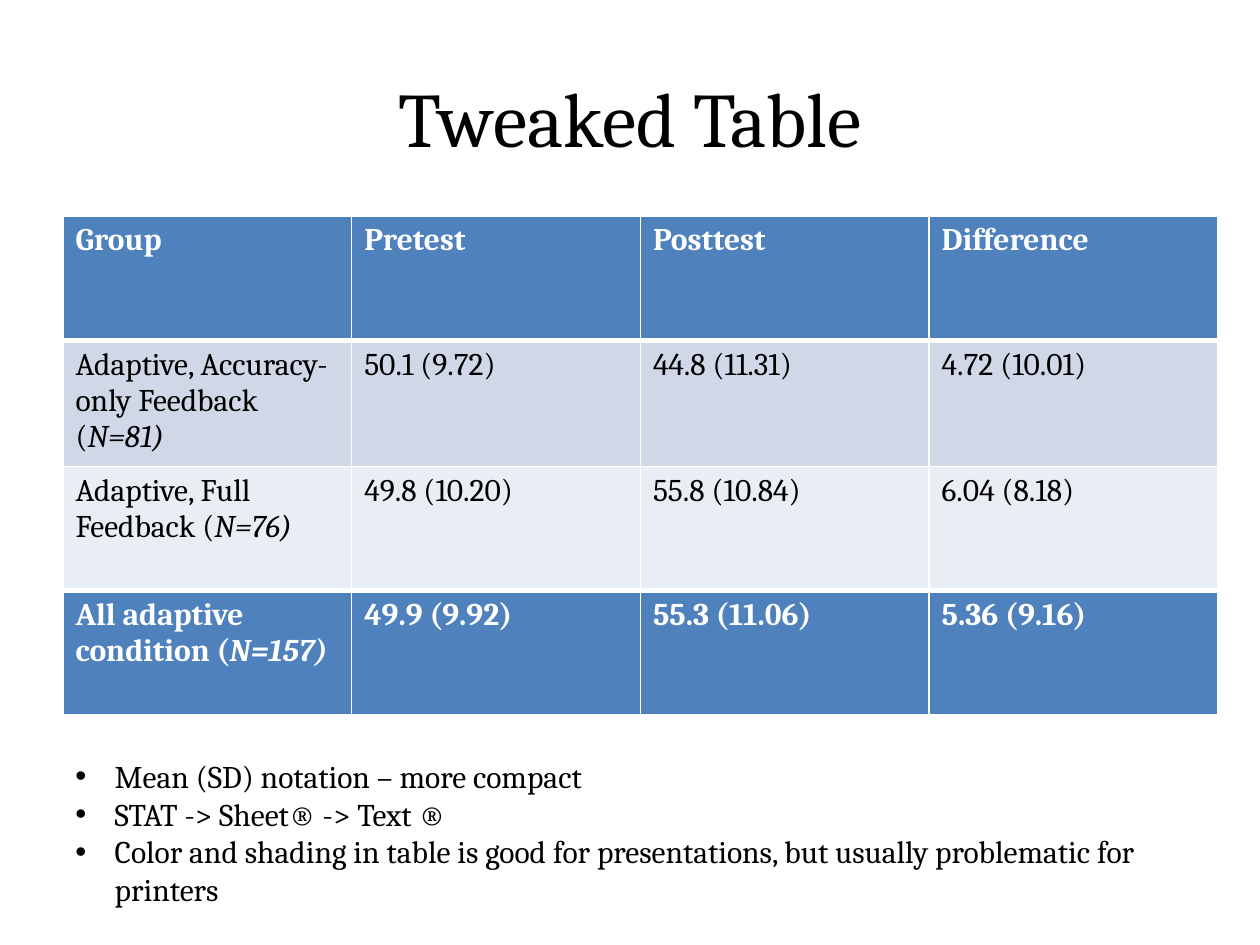
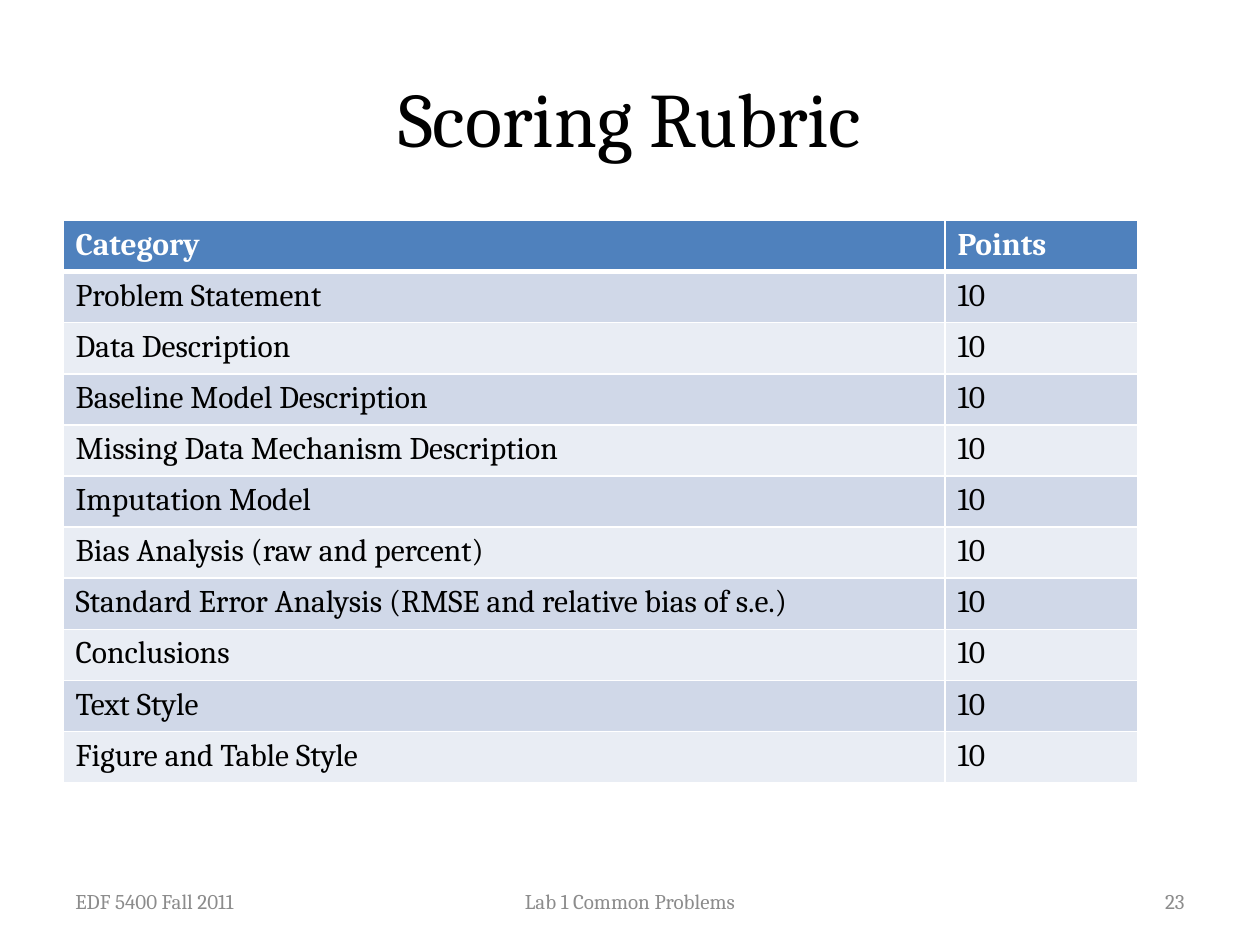
from dataclasses import dataclass

from lxml import etree
from pptx import Presentation
from pptx.dml.color import RGBColor
from pptx.enum.text import MSO_ANCHOR, PP_ALIGN
from pptx.oxml.ns import qn
from pptx.util import Pt

LEFT, CENTER, RIGHT = PP_ALIGN.LEFT, PP_ALIGN.CENTER, PP_ALIGN.RIGHT
TOP, MIDDLE = MSO_ANCHOR.TOP, MSO_ANCHOR.MIDDLE


@dataclass(frozen=True)
class Theme:
    """Colours, typeface and type sizes shared by the slides."""
    font: str = "Cambria"
    ink: str = "000000"
    white: str = "FFFFFF"
    muted: str = "8C8C8C"
    accent: str = "4F81BD"
    bands: tuple = ("D0D8E8", "E9EDF4")
    title_size: int = 44
    body_size: int = 18
    footer_size: int = 12
    thin: int = 1
    thick: int = 3


THEME = Theme()
MARGIN = 36
BULLET_INDENT = 22.5


def add_text(page, frame, lines, size, color=THEME.ink, align=LEFT, anchor=MIDDLE):
    """Add a wrapped text box at frame (left, top, width, height); return its text frame."""
    text_frame = page.shapes.add_textbox(*[Pt(length) for length in frame]).text_frame
    text_frame.word_wrap = True
    text_frame.vertical_anchor = anchor
    text_frame.text = "\n".join(lines)
    for para in text_frame.paragraphs:
        para.alignment = align
        para.font.name = THEME.font
        para.font.size = Pt(size)
        para.font.color.rgb = RGBColor.from_string(color)
    return text_frame


def add_grid(page, top, widths, row_height, rows, has_total=False):
    """Add a banded table with a header, an optional total row and italic sample sizes."""
    table = page.shapes.add_table(
        len(rows), len(widths), Pt(MARGIN), Pt(top),
        Pt(sum(widths)), Pt(row_height * len(rows))).table
    table.last_row = has_total
    for column, width in zip(table.columns, widths):
        column.width = Pt(width)
    strong_rows = {0, len(rows) - 1} if has_total else {0}
    # Edge n lies above row n; thick edges set the strong rows apart.
    thick_edges = {1, len(rows) - 1} if has_total else {1}

    for row_index, values in enumerate(rows):
        table.rows[row_index].height = Pt(row_height)
        strong = row_index in strong_rows
        fill = THEME.accent if strong else THEME.bands[(row_index - 1) % 2]
        above, below = [THEME.thick if edge in thick_edges else THEME.thin
                        for edge in (row_index, row_index + 1)]
        borders = (("a:lnL", THEME.thin), ("a:lnR", THEME.thin),
                   ("a:lnT", above), ("a:lnB", below))
        for column_index, value in enumerate(values):
            cell = table.cell(row_index, column_index)
            cell.fill.solid()
            cell.fill.fore_color.rgb = RGBColor.from_string(fill)

            para = cell.text_frame.paragraphs[0]
            para.font.name = THEME.font
            para.font.size = Pt(THEME.body_size)
            para.font.bold = strong
            para.font.color.rgb = RGBColor.from_string(
                THEME.white if strong else THEME.ink)
            label, marker, count = value.partition("N=")
            para.add_run().text = label
            if marker:
                span = para.add_run()
                span.text = marker + count
                span.font.italic = True

            properties = cell._tc.get_or_add_tcPr()
            for position, (tag, width) in enumerate(borders):
                line = etree.Element(qn(tag), w=str(Pt(width)))
                solid = etree.SubElement(line, qn("a:solidFill"))
                etree.SubElement(solid, qn("a:srgbClr"), val=THEME.white)
                properties.insert(position, line)


deck = Presentation()
deck.slide_width, deck.slide_height = Pt(720), Pt(540)
pages = []
for title in ("Tweaked Table", "Scoring Rubric"):
    page = deck.slides.add_slide(deck.slide_layouts[6])
    add_text(page, (MARGIN, 21.6, 648, 90), [title], THEME.title_size, align=CENTER)
    pages.append(page)
results_page, rubric_page = pages

# Test results by group
add_grid(results_page, 123.4, [165] * 4, 71.1, [
    ("Group", "Pretest", "Posttest", "Difference"),
    ("Adaptive, Accuracy-only Feedback (N=81)", "50.1 (9.72)", "44.8 (11.31)", "4.72 (10.01)"),
    ("Adaptive, Full Feedback (N=76)", "49.8 (10.20)", "55.8 (10.84)", "6.04 (8.18)"),
    ("All adaptive condition (N=157)", "49.9 (9.92)", "55.3 (11.06)", "5.36 (9.16)"),
], has_total=True)

notes = add_text(results_page, (MARGIN, 429, 667, 94.5), [
    "Mean (SD) notation – more compact",
    "STAT -> Sheet® -> Text ®",
    "Color and shading in table is good for presentations, "
    "but usually problematic for printers",
], THEME.body_size, anchor=TOP)
for para in notes.paragraphs:
    properties = para._p.get_or_add_pPr()
    properties.set("marL", str(Pt(BULLET_INDENT)))
    properties.set("indent", str(Pt(-BULLET_INDENT)))
    bullet_font = etree.Element(qn("a:buFont"), typeface="Arial")
    bullet = etree.Element(qn("a:buChar"), char="•")
    properties.insert(0, bullet_font)
    properties.insert(1, bullet)

# Scoring rubric
categories = (
    "Problem Statement",
    "Data Description",
    "Baseline Model Description",
    "Missing Data Mechanism Description",
    "Imputation Model",
    "Bias Analysis (raw and percent)",
    "Standard Error Analysis (RMSE and relative bias of s.e.)",
    "Conclusions",
    "Text Style",
    "Figure and Table Style",
)
add_grid(rubric_page, 126, [504, 110], 29.2,
         [("Category", "Points")] + [(category, "10") for category in categories])

for left, width, text, align in (
        (MARGIN, 168, "EDF 5400 Fall 2011", LEFT),
        (246, 228, "Lab 1 Common Problems", CENTER),
        (516, 168, "23", RIGHT)):
    add_text(rubric_page, (left, 500.5, width, 28.8), [text],
             THEME.footer_size, THEME.muted, align)

deck.save("out.pptx")
